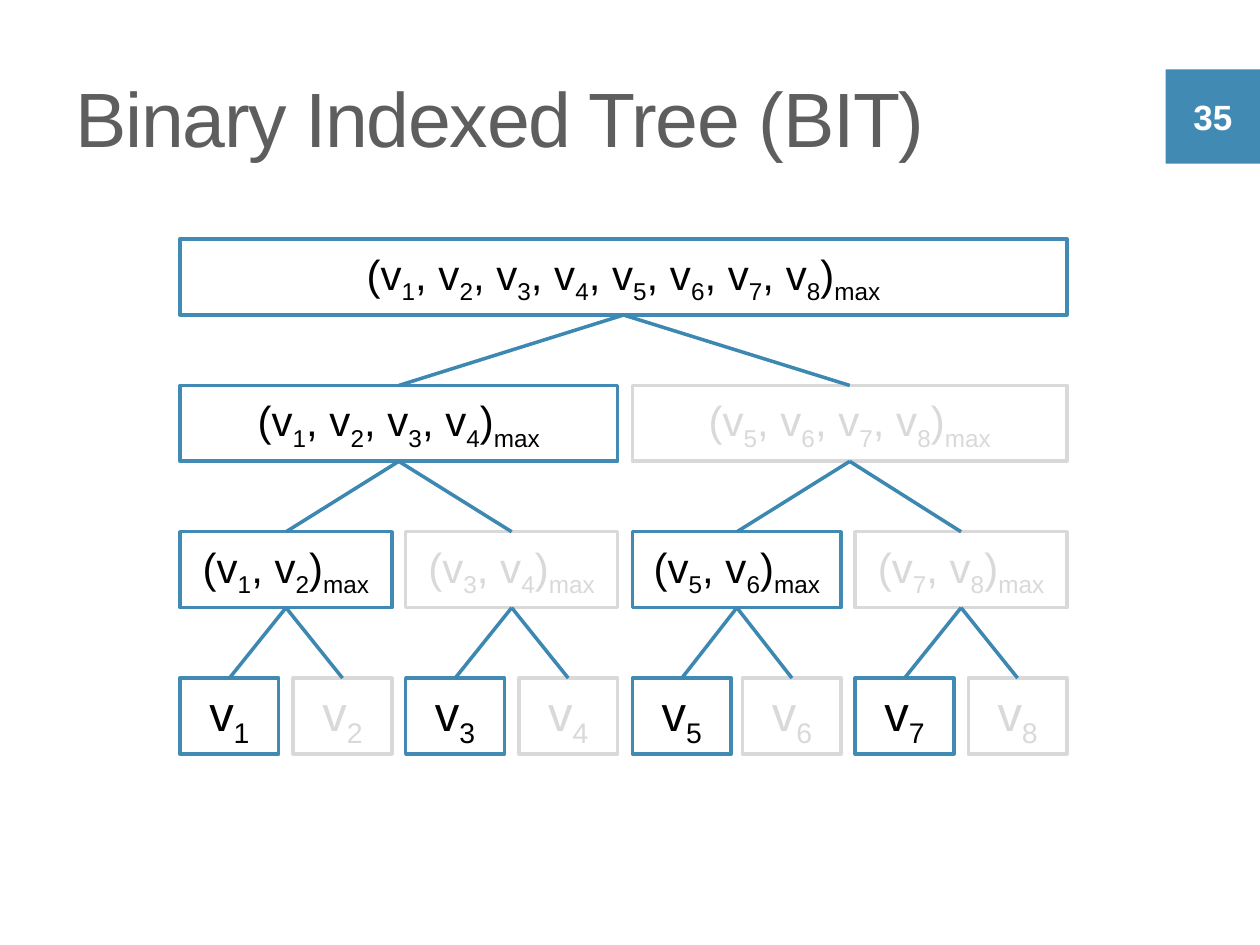
from dataclasses import dataclass

from lxml.etree import SubElement
from pptx import Presentation
from pptx.dml.color import RGBColor
from pptx.enum.shapes import MSO_CONNECTOR, MSO_SHAPE
from pptx.enum.text import MSO_ANCHOR, PP_ALIGN
from pptx.oxml.ns import qn
from pptx.util import Cm, Pt

TITLE = "Binary Indexed Tree (BIT)"
PAGE = "35"
# Values in each node, from the root row down to the leaves
TREE = [
    [(1, 2, 3, 4, 5, 6, 7, 8)],
    [(1, 2, 3, 4), (5, 6, 7, 8)],
    [(1, 2), (3, 4), (5, 6), (7, 8)],
    [(1,), (2,), (3,), (4,), (5,), (6,), (7,), (8,)],
]

# Geometry in centimetres
LEAF_LEFTS = [3.63, 5.91, 8.18, 10.46, 12.75, 14.97, 17.24, 19.52]
LEAF_W, NODE_H = 1.99, 1.53
TREE_TOP, ROW_STEP = 4.82, 2.95
TOP, BOTTOM = 0, 2  # connection sites


@dataclass(frozen=True)
class Theme:
    font: str = "Arial"
    blue: str = "418AB3"
    edge: str = "3D88B2"
    faded: str = "D9D9D9"
    title: str = "5E5E5E"
    black: str = "000000"
    white: str = "FFFFFF"
    title_size: int = 44
    page_size: int = 20
    node_size: int = 24
    leaf_size: int = 28
    line_width: int = 2


T = Theme()


def rgb(color):
    return RGBColor.from_string(color)


def style(p, size, color, bold=False):
    p.font.name, p.font.size, p.font.bold = T.font, Pt(size), bold
    p.font.color.rgb = rgb(color)


def add_run(p, text, **attrs):
    """Add a run; attrs go straight to its rPr (baseline, spc)."""
    r = p.add_run()
    r.text = text
    for name, value in attrs.items():
        r._r.get_or_add_rPr().set(name, str(value))


def add_box(slide, left, top, width, height, fill, line=None):
    sp = slide.shapes.add_shape(
        MSO_SHAPE.RECTANGLE, Cm(left), Cm(top), Cm(width), Cm(height))
    sp.shadow.inherit = False
    sp.fill.solid()
    sp.fill.fore_color.rgb = rgb(fill)
    if line:
        sp.line.color.rgb = rgb(line)
        sp.line.width = Pt(T.line_width)
    else:
        sp.line.fill.background()
    tf = sp.text_frame
    tf.word_wrap = True
    tf.vertical_anchor = MSO_ANCHOR.MIDDLE
    tf.paragraphs[0].alignment = PP_ALIGN.CENTER
    return sp


def add_node(slide, values, row, stored):
    """Draw a node spanning its leaves; nodes not stored in the BIT are faded."""
    left = LEAF_LEFTS[values[0] - 1]
    width = LEAF_LEFTS[values[-1] - 1] + LEAF_W - left
    sp = add_box(slide, left, TREE_TOP + row * ROW_STEP, width, NODE_H,
                 T.white, T.blue if stored else T.faded)
    p = sp.text_frame.paragraphs[0]
    is_leaf = len(values) == 1
    style(p, T.leaf_size if is_leaf else T.node_size,
          T.black if stored else T.faded)
    for i, value in enumerate(values):
        add_run(p, ", v" if i else "v" if is_leaf else "(v")
        add_run(p, str(value), baseline=-25000)
    if not is_leaf:
        add_run(p, ")")
        add_run(p, "max", baseline=-25000)
    return sp


def add_edge(slide, parent, child):
    line = slide.shapes.add_connector(MSO_CONNECTOR.STRAIGHT, 0, 0, 0, 0)
    line.begin_connect(parent, BOTTOM)
    line.end_connect(child, TOP)
    line.line.color.rgb = rgb(T.edge)
    line.line.width = Pt(T.line_width)
    SubElement(line._element.spPr, qn("a:effectLst"))


def add_header(slide):
    page = add_box(slide, 23.5, 1.4, 1.9, 1.9, T.blue)
    p = page.text_frame.paragraphs[0]
    style(p, T.page_size, T.white, bold=True)
    add_run(p, PAGE)

    title = slide.shapes.add_textbox(Cm(1.27), Cm(0.76), Cm(23.6), Cm(3.18))
    tf = title.text_frame
    tf.word_wrap = True
    tf.vertical_anchor = MSO_ANCHOR.MIDDLE
    style(tf.paragraphs[0], T.title_size, T.title)
    add_run(tf.paragraphs[0], TITLE, spc=-80)


def main():
    prs = Presentation()
    prs.slide_width, prs.slide_height = Cm(25.4), Cm(19.05)
    slide = prs.slides.add_slide(prs.slide_layouts[6])
    add_header(slide)
    rows = [[add_node(slide, values, row, stored=i % 2 == 0)
             for i, values in enumerate(level)]
            for row, level in enumerate(TREE)]
    for parents, children in zip(rows, rows[1:]):
        for i, child in enumerate(children):
            add_edge(slide, parents[i // 2], child)
    prs.save("out.pptx")


if __name__ == "__main__":
    main()
